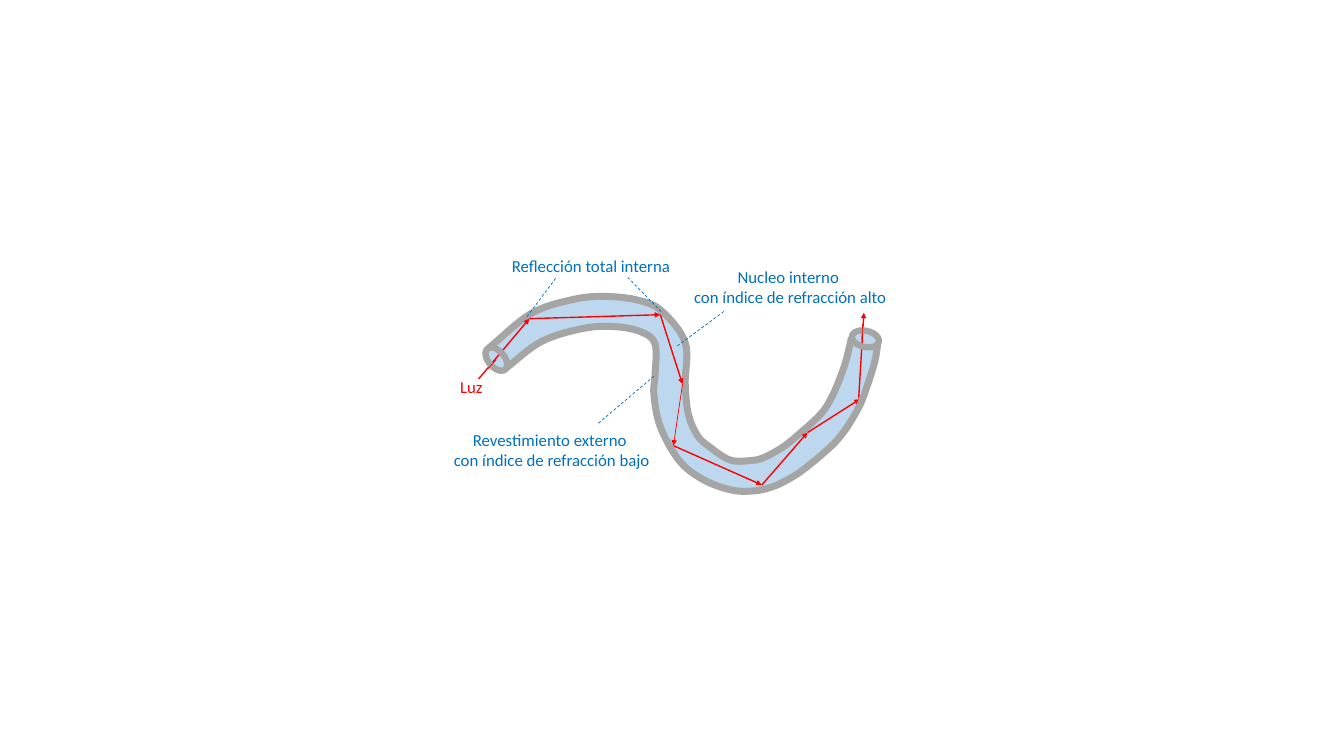
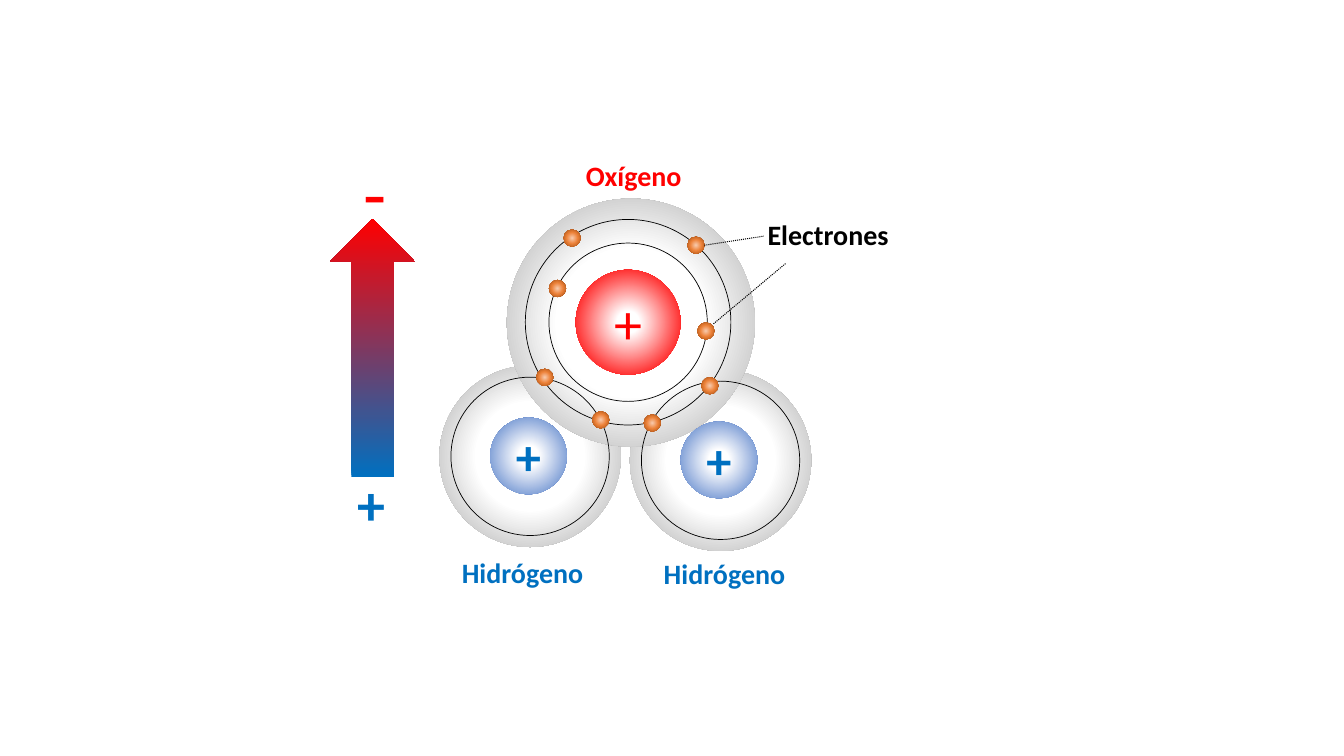
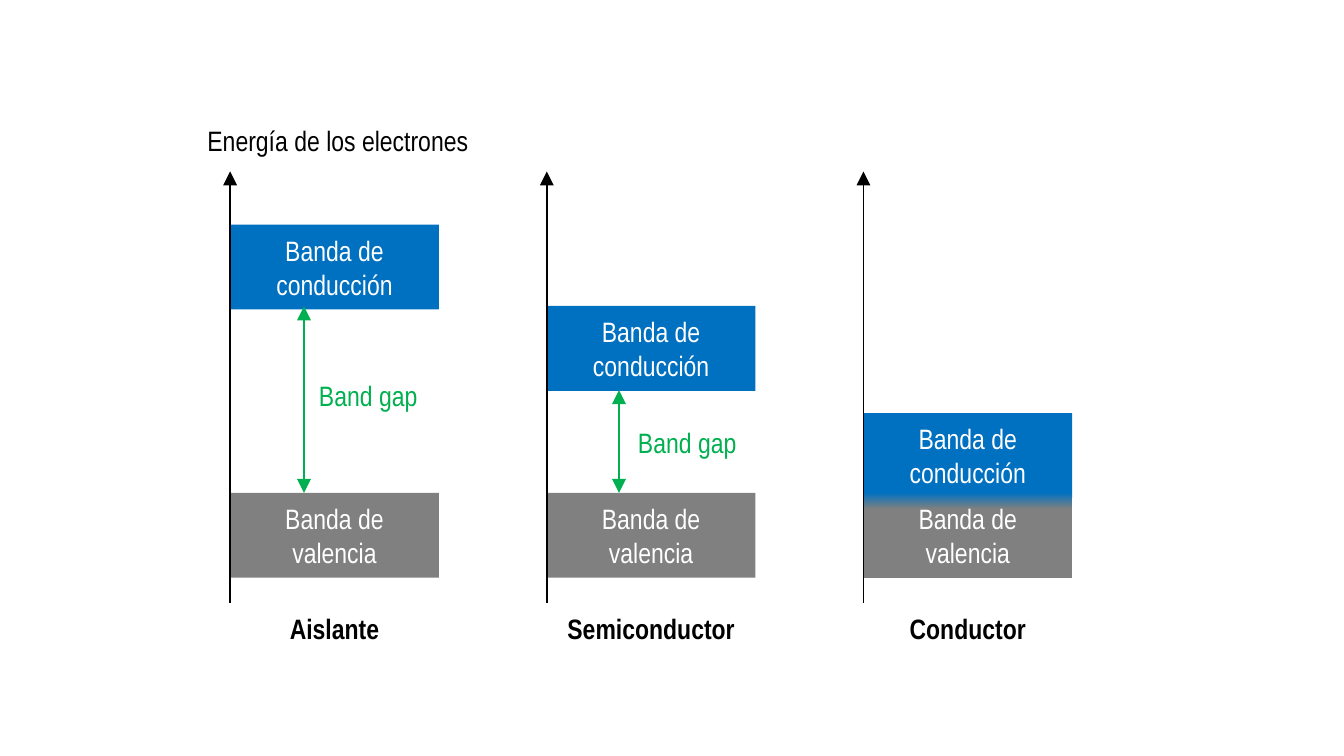
from dataclasses import dataclass
from typing import Any

import pptx
import pptx.dml.color
import pptx.enum.dml
import pptx.enum.shapes
import pptx.enum.text
import pptx.oxml
import pptx.oxml.ns
import pptx.util

Cm = pptx.util.Cm
Pt = pptx.util.Pt
RGBColor = pptx.dml.color.RGBColor
Preset = pptx.enum.shapes.MSO_SHAPE
Dash = pptx.enum.dml.MSO_LINE
Anchor = pptx.enum.text.MSO_ANCHOR
qn = pptx.oxml.ns.qn
DRAWING = pptx.oxml.ns.nsdecls("a")

# Colours
WHITE = RGBColor(0xFF, 0xFF, 0xFF)
BLACK = RGBColor(0x00, 0x00, 0x00)
RED = RGBColor(0xFF, 0x00, 0x00)
BLUE = RGBColor(0x00, 0x70, 0xC0)
GREEN = RGBColor(0x00, 0xB0, 0x50)
GREY = RGBColor(0x80, 0x80, 0x80)
CLADDING = RGBColor(0xA5, 0xA5, 0xA5)
CORE = RGBColor(0xBD, 0xD7, 0xEE)
PROTON = RGBColor(0x44, 0x72, 0xC4)
PEACH = RGBColor(0xF8, 0xCB, 0xAD)
ORANGE = RGBColor(0xEE, 0x84, 0x3B)
BROWN = RGBColor(0x9E, 0x48, 0x0E)

# Gradients as (position in percent, colour)
CLOUD_FADE = [(0, WHITE), (42, WHITE), (100, CLADDING)]
HYDROGEN_FADE = [(0, WHITE), (19, WHITE), (100, PROTON)]
OXYGEN_FADE = [(0, WHITE), (15, WHITE), (85, RED)]
ELECTRON_FADE = [(0, PEACH), (46, ORANGE), (100, BROWN)]
POLARITY_FADE = [(0, BLUE), (100, RED)]
MERGED_FADE = [(0, BLUE), (19, GREY)]

BODY_FONT = "Calibri"
BAND_FONT = "Arial Narrow"


def gradient_fill(shape, stops, angle=None):
    """Linear at the given angle, or circular from the centre without one."""
    marks = "".join(
        f'<a:gs pos="{position * 1000}"><a:srgbClr val="{colour}"/></a:gs>'
        for position, colour in stops)
    if angle is None:
        course = ('<a:path path="circle"><a:fillToRect l="50000" t="50000" '
                  'r="50000" b="50000"/></a:path>')
    else:
        course = f'<a:lin ang="{angle * 60000}" scaled="0"/>'
    shape.fill.background()
    properties = shape.fill._xPr
    properties.replace(properties.find(qn("a:noFill")), pptx.oxml.parse_xml(
        f'<a:gradFill {DRAWING} rotWithShape="1">'
        f'<a:gsLst>{marks}</a:gsLst>{course}</a:gradFill>'))


def write(frame, lines, size, colour, font, bold=False, anchor=Anchor.TOP, side=0.25):
    frame.word_wrap = True
    frame.vertical_anchor = anchor
    frame.margin_left = frame.margin_right = Cm(side)
    for number, line in enumerate(lines):
        paragraph = frame.paragraphs[0] if number == 0 else frame.add_paragraph()
        paragraph.text = line
        paragraph.alignment = pptx.enum.text.PP_ALIGN.CENTER
        paragraph.font.size = Pt(size)
        paragraph.font.name = font
        paragraph.font.bold = bold
        paragraph.font.color.rgb = colour


def round_off(outline):
    """Turn the straight segments of a freeform into one smooth curve."""
    knots = [(int(point.get("x")), int(point.get("y")))
             for point in outline._element.iter(qn("a:pt"))]

    def beyond(end, inner):
        return tuple(2 * e - i for e, i in zip(end, inner))

    def lean(knot, ahead, behind):
        return tuple(round(k + (a - b) / 6) for k, a, b in zip(knot, ahead, behind))

    chain = [beyond(knots[0], knots[1]), *knots, beyond(knots[-1], knots[-2])]
    segments = list(outline._element.iter(qn("a:lnTo")))
    for segment, a, b, c, d in zip(segments, chain, chain[1:], chain[2:], chain[3:]):
        points = "".join(f'<a:pt x="{x}" y="{y}"/>'
                         for x, y in (lean(b, c, a), lean(c, b, d), c))
        segment.getparent().replace(segment, pptx.oxml.parse_xml(
            f'<a:cubicBezTo {DRAWING}>{points}</a:cubicBezTo>'))


@dataclass
class Region:
    """Part of a slide; its contents are placed in cm from its top left corner."""
    slide: Any
    left: float
    top: float

    def spot(self, x, y):
        return Cm(self.left + x), Cm(self.top + y)

    def shape(self, preset, x, y, width, height, fill=None, angle=None,
              line=None, weight=0.5):
        shape = self.slide.shapes.add_shape(
            preset, *self.spot(x, y), Cm(width), Cm(height))
        shape.shadow.inherit = False
        if fill is None:
            shape.fill.background()
        elif isinstance(fill, list):
            gradient_fill(shape, fill, angle)
        else:
            shape.fill.solid()
            shape.fill.fore_color.rgb = fill
        if line is None:
            shape.line.fill.background()
        else:
            shape.line.color.rgb = line
            shape.line.width = Pt(weight)
        return shape

    def disc(self, centre, width, height=None, **look):
        height = height or width
        x, y = centre
        return self.shape(Preset.OVAL, x - width / 2, y - height / 2,
                          width, height, **look)

    def line(self, start, end, colour, weight, dash=None, head=None, tail=None):
        """head and tail give the arrowhead size: sm, med or lg."""
        line = self.slide.shapes.add_connector(
            pptx.enum.shapes.MSO_CONNECTOR.STRAIGHT, *self.spot(*start), *self.spot(*end))
        line.line.color.rgb = colour
        line.line.width = Pt(weight)
        if dash:
            line.line.dash_style = dash
        outline = line.line._get_or_add_ln()
        for size, tag in ((head, "a:headEnd"), (tail, "a:tailEnd")):
            if size:
                outline.append(pptx.oxml.parse_xml(
                    f'<{tag} {DRAWING} type="triangle" w="{size}" len="{size}"/>'))
        outline.getparent().append(pptx.oxml.parse_xml(f'<a:effectLst {DRAWING}/>'))

    def curve(self, knots, colour, weight):
        points = [self.spot(x, y) for x, y in knots]
        builder = self.slide.shapes.build_freeform(*points[0])
        builder.add_line_segments(points[1:], close=False)
        curve = builder.convert_to_shape()
        round_off(curve)
        curve.shadow.inherit = False
        curve.fill.background()
        curve.line.color.rgb = colour
        curve.line.width = Pt(weight)

    def text(self, x, y, width, height, lines, size, colour, font=BODY_FONT, **style):
        label = self.slide.shapes.add_textbox(
            *self.spot(x, y), Cm(width), Cm(height))
        write(label.text_frame, lines, size, colour, font, **style)


# Optical fibre
CORE_AXIS = [
    (2.24, 3.02), (3.1, 2.34), (4.04, 1.88), (5, 1.78), (6.05, 1.91), (6.71, 2.64),
    (6.71, 3.56), (6.78, 4.22), (6.96, 4.88), (7.52, 5.51), (8.03, 5.84),
    (8.79, 5.89), (9.25, 5.79), (9.7, 5.56), (10.26, 5.13), (10.87, 4.55),
    (11.18, 3.94), (11.38, 3.4), (11.53, 2.87), (11.63, 2.29)]
UPPER_WALL = [
    (2.16, 2.67), (3.23, 1.8), (4.27, 1.45), (5.08, 1.37), (5.94, 1.47), (6.53, 1.75),
    (7.11, 2.54), (7.11, 3.58), (7.19, 4.34), (7.42, 4.88), (7.72, 5.16),
    (8.23, 5.49), (8.71, 5.51), (9.07, 5.44), (9.55, 5.18), (9.93, 4.88),
    (10.52, 4.34), (10.8, 3.91), (11.02, 3.4), (11.18, 2.92), (11.3, 2.41)]
LOWER_WALL = [
    (2.59, 3.18), (3.48, 2.51), (4.52, 2.18), (5.31, 2.13), (5.99, 2.26), (6.35, 2.57),
    (6.35, 3.35), (6.32, 3.84), (6.48, 4.65), (6.96, 5.51), (7.57, 5.99),
    (8.28, 6.25), (8.86, 6.27), (9.3, 6.17), (9.63, 6.02), (10.08, 5.74),
    (10.77, 5.16), (11.15, 4.72), (11.51, 4.11), (11.71, 3.58), (11.89, 3),
    (11.96, 2.57)]
# Start and end of each stretch of light, with its line width
RAYS = [
    ((1.9, 3.45), (3.18, 1.93), 1), ((3.18, 1.93), (6.48, 1.83), 1),
    ((6.48, 1.83), (7.04, 3.58), 1), ((7.04, 3.58), (6.81, 5.13), 0.5),
    ((6.81, 5.13), (9.04, 6.12), 1), ((9.04, 6.12), (10.19, 4.8), 1),
    ((10.19, 4.8), (11.51, 3.96), 1), ((11.48, 3.94), (11.61, 1.78), 1)]
FIBRE_ENDS = [((2.35, 2.95), 49.3), ((11.65, 2.44), 12.5)]
RAYS_OVER_ENDS = [((2.13, 3.2), (2.34, 2.97)), ((11.56, 2.46), (11.58, 2.06))]
FIBRE_LABELS = [
    (0.5, 3.27, 2.44, ["Luz"], RED),
    (0.99, 4.6, 5.51, ["Revestimiento externo ", "con índice de refracción bajo"], BLUE),
    (7, 0.49, 5.51, ["Nucleo interno ", "con índice de refracción alto"], BLUE),
    (1.98, 0.23, 5.51, ["Reflección total interna"], BLUE)]
FIBRE_LEADERS = [
    ((3.12, 1.88), (3.86, 0.89)), ((6.5, 1.75), (5.66, 0.89)),
    ((6.32, 3.38), (4.88, 4.6)), ((8.08, 1.75), (6.88, 2.64))]


def optical_fibre(region):
    region.curve(CORE_AXIS, CORE, 18.75)
    region.curve(UPPER_WALL, CLADDING, 5)
    # Light reflected from wall to wall
    for start, end, weight in RAYS:
        region.line(start, end, RED, weight, tail="sm")
    # Open ends
    for centre, turn in FIBRE_ENDS:
        end = region.disc(centre, 0.69, 0.41, line=CLADDING, weight=4.5)
        end.rotation = turn
    for start, end in RAYS_OVER_ENDS:
        region.line(start, end, RED, 0.5)
    # Labels
    for x, y, width, lines, colour in FIBRE_LABELS:
        region.text(x, y, width, 0.25 + 0.51 * len(lines), lines, 12, colour)
    region.curve(LOWER_WALL, CLADDING, 5)
    for start, end in FIBRE_LEADERS:
        region.line(start, end, BLUE, 0.5, dash=Dash.DASH)


# Water molecule: centres of clouds and nuclei
OXYGEN_CLOUD, OXYGEN = (7.57, 4.57), (7.5, 4.56)
HYDROGENS = [((9.83, 8.04), (9.79, 8.03)), ((5.03, 7.94), (4.99, 7.93))]
HYDROGEN_SHELL = 3.99
OXYGEN_SHELLS = (3.99, 5.18)
ELECTRONS = [
    (5.72, 3.71), (9.46, 4.78), (5.4, 5.95), (6.81, 7.02),
    (8.11, 7.1), (9.56, 6.16), (6.09, 2.44), (9.21, 2.62)]
ATOM_LABELS = [
    (4.35, 0.3, 6.58, "Oxígeno", RED), (2.59, 10.31, 4.5, "Hidrógeno", BLUE),
    (7.68, 10.34, 4.5, "Hidrógeno", BLUE), (9.25, 1.8, 6.58, "Electrones", BLACK)]
ELECTRON_LEADERS = [((9.65, 4.6), (11.48, 3.07)), ((9.42, 2.62), (10.92, 2.39))]


def atom(region, cloud_centre, cloud, nucleus_centre, nucleus, fade):
    region.disc(cloud_centre, cloud, fill=CLOUD_FADE)
    region.disc(nucleus_centre, nucleus, fill=fade)


def charge(region, centre, height, size, colour, bold, sign="+"):
    x, y = centre
    region.text(x - 0.65, y - height / 2, 1.3, height, [sign], size, colour, bold=bold)


def water_molecule(region):
    for cloud, nucleus in HYDROGENS:
        atom(region, cloud, 4.57, nucleus, 1.93, HYDROGEN_FADE)
    atom(region, OXYGEN_CLOUD, 6.25, OXYGEN, 2.64, OXYGEN_FADE)
    # Shells and electrons
    shells = [(OXYGEN, size) for size in OXYGEN_SHELLS]
    shells += [(cloud, HYDROGEN_SHELL) for cloud, nucleus in HYDROGENS]
    for centre, size in shells:
        region.disc(centre, size, line=BLACK)
    for centre in ELECTRONS:
        region.disc(centre, 0.43, fill=ELECTRON_FADE)
    # Labels and charges
    for x, y, width, name, colour in ATOM_LABELS:
        region.text(x, y, width, 1.12, [name], 20, colour, bold=True)
    for cloud, nucleus in HYDROGENS:
        charge(region, nucleus, 1.8, 36, BLUE, True)
    charge(region, OXYGEN, 1.96, 40, RED, False)
    for start, end in ELECTRON_LEADERS:
        region.line(start, end, BLACK, 0.75, dash=Dash.ROUND_DOT)
    # Polarity arrow
    region.shape(Preset.UP_ARROW, -0.01, 1.96, 2.14, 6.5, fill=POLARITY_FADE, angle=270)
    charge(region, (1.13, 1.28), 2.57, 54, RED, False, "-")
    charge(region, (1.03, 9.13), 1.96, 40, BLUE, True)


# Energy bands
BAND_WIDTH, BAND_HEIGHT = 5.26, 2.14
VALENCE_TOP = 8.1
COLUMN_LEFT, COLUMN_PITCH, COLUMN_TOP = 5.8, 7.98, 4.32
# Name, top of the conduction band, valence fill, gap (arrow x, top; label x, top)
MATERIALS = [
    ("Aislante", 1.34, GREY, (1.86, 3.4, 1.98, 5.19)),
    ("Semiconductor", 3.39, GREY, (1.82, 5.51, 2.04, 6.38)),
    ("Conductor", 6.09, MERGED_FADE, None)]


def band_text(region, x, y, width, height, text, colour, bold=False):
    region.text(x, y, width, height, [text], 20, colour, BAND_FONT,
                bold=bold, anchor=Anchor.MIDDLE, side=0)


def energy_column(region, name, conduction_top, valence_fill, gap):
    for title, top, fill in (("Banda de conducción", conduction_top, BLUE),
                             ("Banda de valencia", VALENCE_TOP, valence_fill)):
        band = region.shape(Preset.RECTANGLE, 0, top, BAND_WIDTH, BAND_HEIGHT,
                            fill=fill, angle=90)
        write(band.text_frame, [title], 20, WHITE, BAND_FONT,
              anchor=Anchor.MIDDLE, side=0.5)
    region.line((0, 10.87), (0, 0), BLACK, 1, tail="lg")
    if gap:
        arrow_x, arrow_top, label_x, label_top = gap
        region.line((arrow_x, VALENCE_TOP), (arrow_x, arrow_top), GREEN, 2,
                    head="lg", tail="lg")
        band_text(region, label_x, label_top, 3, 0.89, "Band gap", GREEN)
    band_text(region, 0, 10.9, BAND_WIDTH, 1.22, name, BLACK, bold=True)


def energy_bands(slide):
    band_text(Region(slide, 4.78, 2.46), 0, 0, 7.47, 2.13,
              "Energía de los electrones", BLACK)
    for number, material in enumerate(MATERIALS):
        left = COLUMN_LEFT + number * COLUMN_PITCH
        energy_column(Region(slide, left, COLUMN_TOP), *material)


def main():
    deck = pptx.Presentation()
    deck.slide_width, deck.slide_height = Cm(33.87), Cm(19.05)
    blank = deck.slide_layouts[6]
    optical_fibre(Region(deck.slides.add_slide(blank), 10.16, 6.1))
    water_molecule(Region(deck.slides.add_slide(blank), 8.33, 3.56))
    energy_bands(deck.slides.add_slide(blank))
    deck.save("out.pptx")


if __name__ == "__main__":
    main()
